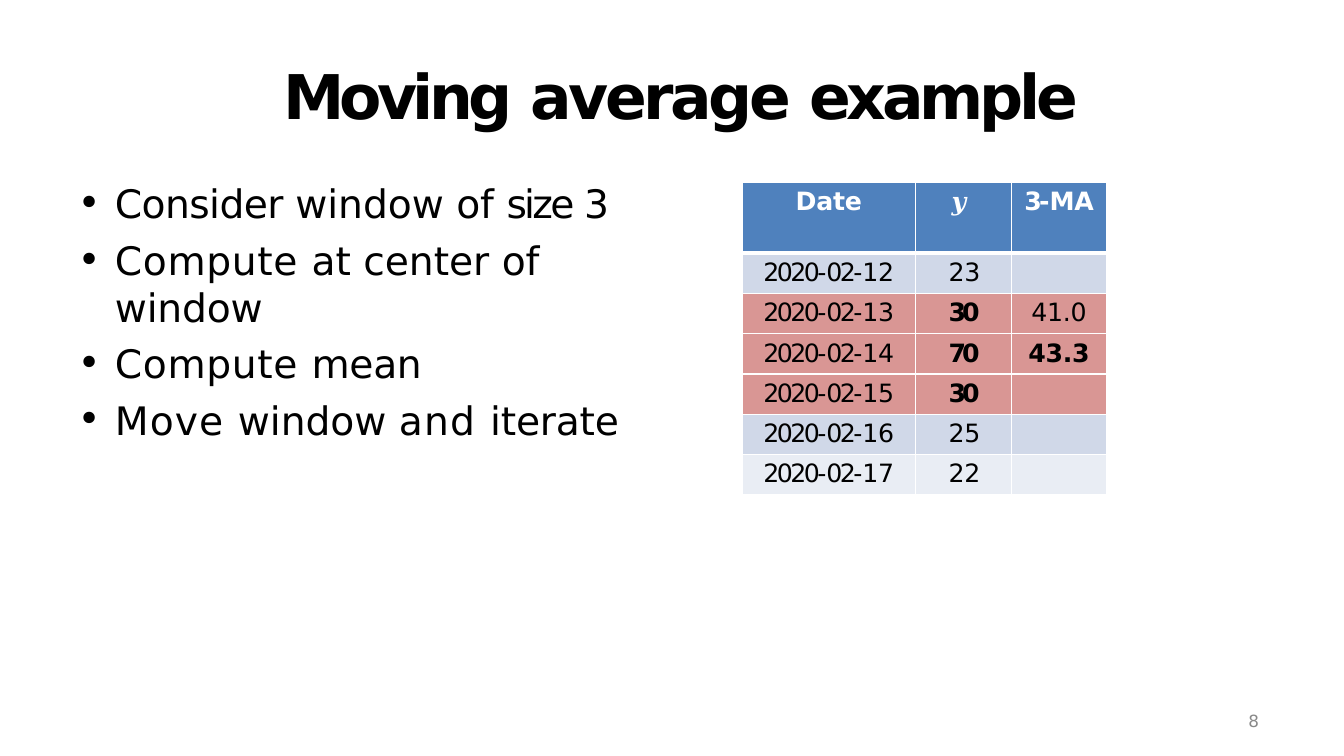
from pptx import Presentation
from pptx.dml.color import RGBColor
from pptx.enum.text import MSO_ANCHOR, PP_ALIGN as Align
from pptx.oxml.ns import qn
from pptx.util import Inches, Pt
from lxml.etree import SubElement as Sub

FONT = "DejaVu Sans"
BLACK, WHITE, GRAY = "000000", "FFFFFF", "898989"
BLUE, PALE, LIGHT, RED = "4F81BD", "D0D8E8", "E9EDF4", "D99694"


def color(code):
    return RGBColor.from_string(code)


class Deck:
    def __init__(self, wide, high):
        self.file = Presentation()
        self.file.slide_width = Inches(wide)
        self.file.slide_height = Inches(high)
        self.slide = self.file.slides.add_slide(self.file.slide_layouts[6])

    def inset(self, frame, top):
        sides = {"margin_left": 0, "margin_top": Inches(top),
                 "margin_right": 0, "margin_bottom": 0}
        for key, val in sides.items():
            setattr(frame, key, val)

    def letter(self, para, runs, size, tint=BLACK, bold=False, font=FONT):
        """Add runs, each a text and its letter spacing in points."""
        for text, gap in runs:
            run = para.add_run()
            run.text = text
            style = {"size": Pt(size), "bold": bold, "name": font}
            for key, val in style.items():
                setattr(run.font, key, val)
            run.font.color.rgb = color(tint)
            run._r.get_or_add_rPr().set("spc", str(round(gap * 100)))

    def indent(self, para, left, first=0):
        props = para._p.get_or_add_pPr()
        props.set("marL", str(Inches(left)))
        props.set("indent", str(Inches(first)))
        return props

    def box(self, area, top=0.01):
        frame = self.slide.shapes.add_textbox(*map(Inches, area)).text_frame
        frame.word_wrap = True
        self.inset(frame, top)
        return frame

    def line(self, area, runs, size, left, **style):
        para = self.box(area).paragraphs[0]
        self.indent(para, left)
        self.letter(para, runs, size, **style)

    def bullets(self, area, items, size):
        frame = self.box(area, 0.11)
        for num, (space, runs) in enumerate(items):
            para = frame.add_paragraph() if num else frame.paragraphs[0]
            if num:
                para.space_before = Pt(space)
            props = self.indent(para, 0.39, -0.37)
            Sub(props, qn("a:buFont"), typeface=FONT)
            Sub(props, qn("a:buChar"), char="•")
            self.letter(para, runs, size)

    def border(self, cell, widths):
        props = cell._tc.get_or_add_tcPr()
        for spot, (side, width) in enumerate(widths.items()):
            edge = props.makeelement(qn("a:ln" + side), {"w": str(Pt(width))})
            Sub(Sub(edge, qn("a:solidFill")), qn("a:srgbClr"), val=WHITE)
            props.insert(spot, edge)

    def cell(self, cell, runs, fill, left=None, **style):
        """Fill a cell; text is centred unless a left indent is given."""
        self.inset(cell, 0.05)
        cell.vertical_anchor = MSO_ANCHOR.TOP
        cell.fill.solid()
        cell.fill.fore_color.rgb = color(fill)
        para = cell.text_frame.paragraphs[0]
        if left is None:
            para.alignment = Align.CENTER
        else:
            self.indent(para, left)
        self.letter(para, runs, 18, **style)

    def table(self, area, cols, highs, head, rows):
        grid = self.slide.shapes.add_table(
            len(rows) + 1, len(cols), *map(Inches, area)).table
        for col, wide in zip(grid.columns, cols):
            col.width = Inches(wide)
        for row, high in zip(grid.rows, highs):
            row.height = Inches(high)
        for num, (runs, style) in enumerate(head):
            self.cell(grid.cell(0, num), runs, BLUE, tint=WHITE, **style)
        for num, (day, val, mean, fill, strong) in enumerate(rows, 1):
            date = [("2020-", -1.8), ("02-", -1.9), (day, -0.2)]
            hot = fill == RED
            self.cell(grid.cell(num, 0), date, fill)
            self.cell(grid.cell(num, 1), [(val, -3 if hot else -0.2)], fill,
                      left=0.33, bold=hot)
            self.cell(grid.cell(num, 2), [(mean, -0.2)] if mean else [],
                      fill, bold=strong)
        for num, row in enumerate(grid.rows):
            for cell in row.cells:
                self.border(cell, {"L": 1, "R": 1, "T": 3 if num == 1 else 1,
                                   "B": 1 if num else 3})


def main():
    deck = Deck(13.33, 7.5)
    deck.line((12.34, 7.04, 0.28, 0.23), [("8", -0.2)], 12, 0.04, tint=GRAY)
    deck.line((0.77, 0.56, 11.79, 0.69),
              [("Moving", -3.4), (" average ", -2.5), ("example", -3)],
              44, 2.04, bold=True)
    deck.bullets((0.75, 1.67, 6.16, 2.27), [
        (0, [("Consider ", -0.4), ("window of ", 0), ("size ", -1.9),
             ("3", -0.5)]),
        (7.2, [("Compute ", 0.5), ("at center of ", 0), ("window", -0.1)]),
        (6.5, [("Compute ", 0.5), ("mean", -0.2)]),
        (6.5, [("Move ", 0.8), ("window ", 0), ("and ", 0.9),
               ("iterate", -0.1)]),
    ], 28)
    head = [
        ([("Date", -0.2)], {"bold": True}),
        ([("𝒚", -0.5)], {"left": 0.36, "font": "Cambria"}),
        ([("3-", -2), ("MA", -0.2)], {"bold": True}),
    ]
    rows = [
        ("12", "23", "", PALE, False),
        ("13", "30", "41.0", RED, False),
        ("14", "70", "43.3", RED, True),
        ("15", "30", "", RED, False),
        ("16", "25", "", PALE, False),
        ("17", "22", "", LIGHT, False),
    ]
    deck.table((7.36, 1.81, 3.61, 3.1), (1.72, 0.95, 0.95),
               [0.7] + [0.4] * len(rows), head, rows)
    deck.file.save("out.pptx")


if __name__ == "__main__":
    main()
